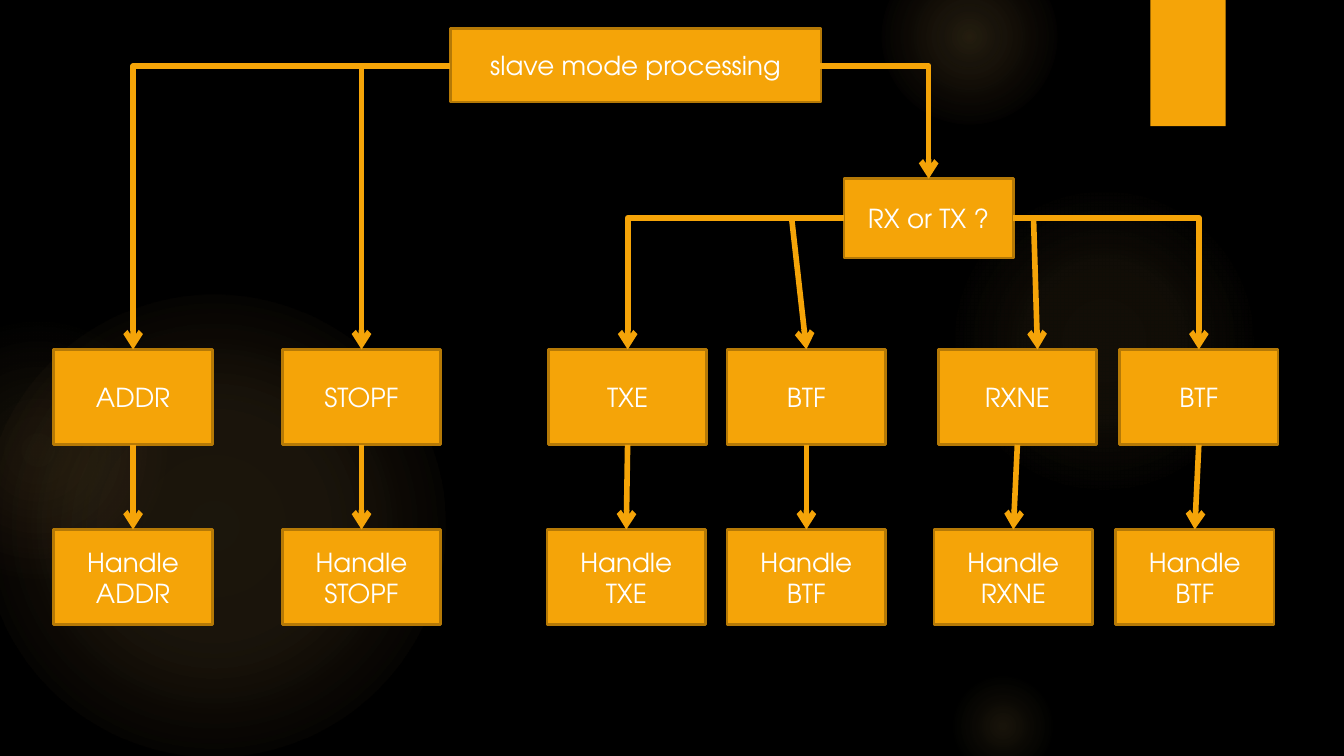
import pptx
import pptx.dml.color
import pptx.enum.shapes
import pptx.enum.text
import pptx.oxml
import pptx.oxml.ns
import pptx.util
from pptx.util import Inches

RGBColor = pptx.dml.color.RGBColor
SHAPES = pptx.enum.shapes.MSO_SHAPE
CONNECTORS = pptx.enum.shapes.MSO_CONNECTOR
qn = pptx.oxml.ns.qn

BLACK = RGBColor(0x00, 0x00, 0x00)
WHITE = RGBColor(0xFF, 0xFF, 0xFF)
ORANGE = RGBColor(0xF5, 0xA4, 0x08)
DARK_ORANGE = RGBColor(0xB5, 0x79, 0x06)
GLOW = RGBColor(0xFA, 0xC9, 0x6A)
PEACH = RGBColor(0xF5, 0x9B, 0x74)
FONT = "TeX Gyre Adventor"

presentation = pptx.Presentation()
presentation.slide_width = Inches(10)
presentation.slide_height = Inches(10 * 9 / 16)
slide = presentation.slides.add_slide(presentation.slide_layouts[6])
slide.background.fill.solid()
slide.background.fill.fore_color.rgb = BLACK


def add_box(left, top, width, height, text):
    box = slide.shapes.add_shape(
        SHAPES.RECTANGLE, Inches(left), Inches(top), Inches(width), Inches(height))
    box.shadow.inherit = False
    box.fill.solid()
    box.fill.fore_color.rgb = ORANGE
    box.line.color.rgb = DARK_ORANGE
    box.line.width = pptx.util.Pt(1.5)
    frame = box.text_frame
    frame.word_wrap = True
    frame.vertical_anchor = pptx.enum.text.MSO_ANCHOR.MIDDLE
    paragraph = frame.paragraphs[0]
    paragraph.alignment = pptx.enum.text.PP_ALIGN.CENTER
    run = paragraph.add_run()
    run.text = text
    run.font.name = FONT
    run.font.size = pptx.util.Pt(14)
    run.font.color.rgb = WHITE


def add_arrow(start_x, start_y, end_x, end_y, bent=False):
    """Draw an arrow; a bent one runs sideways first, then down."""
    kind = CONNECTORS.ELBOW if bent else CONNECTORS.STRAIGHT
    connector = slide.shapes.add_connector(
        kind, Inches(start_x), Inches(start_y), Inches(end_x), Inches(end_y))
    connector.line.color.rgb = ORANGE
    connector.line.width = pptx.util.Pt(3)
    properties = connector._element.spPr
    if bent:
        properties.find(qn("a:prstGeom")).set("prst", "bentConnector2")
        if end_x < start_x:
            # A half turn with a vertical flip mirrors the bend to the left
            transform = properties.find(qn("a:xfrm"))
            transform.attrib.pop("flipH")
            transform.set("rot", "10800000")
            transform.set("flipV", "1")
    line = properties.find(qn("a:ln"))
    line.append(pptx.oxml.parse_xml(
        f'<a:tailEnd {pptx.oxml.ns.nsdecls("a")} type="arrow"/>'))
    properties.append(pptx.oxml.parse_xml(
        f'<a:effectLst {pptx.oxml.ns.nsdecls("a")}/>'))


# Soft background glows: left, top, diameter, (position, colour, opacity) in percent
glows = [
    (-0.13, 2.19, 3.44, [(0, GLOW, 11), (36, GLOW, 10), (75, GLOW, 0)]),
    (-0.69, 2.38, 1.94, [(0, GLOW, 8), (36, GLOW, 5), (71, PEACH, 0)]),
    (7.06, 1.38, 2.31, [(0, GLOW, 7), (36, GLOW, 6), (69, GLOW, 0)]),
    (6.56, -0.38, 1.31, [(0, GLOW, 14), (36, GLOW, 7), (73, GLOW, 0)]),
    (7.06, 5, 0.81, [(0, GLOW, 10), (31, GLOW, 5), (66, GLOW, 0)]),
]
for left, top, diameter, stops in glows:
    glow = slide.shapes.add_shape(
        SHAPES.OVAL, Inches(left), Inches(top), Inches(diameter), Inches(diameter))
    glow.shadow.inherit = False
    glow.line.fill.background()
    stop_list = "".join(
        f'<a:gs pos="{position * 1000}"><a:srgbClr val="{color}">'
        f'<a:alpha val="{opacity * 1000}"/></a:srgbClr></a:gs>'
        for position, color, opacity in stops)
    gradient = pptx.oxml.parse_xml(
        f'<a:gradFill {pptx.oxml.ns.nsdecls("a")} rotWithShape="1">'
        f'<a:gsLst>{stop_list}</a:gsLst><a:path path="circle">'
        '<a:fillToRect l="50000" t="50000" r="50000" b="50000"/></a:path></a:gradFill>')
    glow._element.spPr.find(qn("a:prstGeom")).addnext(gradient)

corner_tab = slide.shapes.add_shape(
    SHAPES.RECTANGLE, Inches(8.56), Inches(0), Inches(0.56), Inches(0.94))
corner_tab.shadow.inherit = False
corner_tab.fill.solid()
corner_tab.fill.fore_color.rgb = ORANGE
corner_tab.line.fill.background()

# Flowchart boxes
BOX_WIDTH, BOX_HEIGHT = 1.18, 0.71
EVENT_TOP, HANDLER_TOP = 2.6, 3.94
ROOT_Y, DECISION_Y = 0.49, 1.62

add_box(3.35, 0.21, 2.76, 0.55, "slave mode processing")
add_box(6.28, 1.33, 1.26, 0.59, "RX or TX ?")

# Event name, centre of the event box, centre of its handler box
events = [
    ("ADDR", 0.99, 0.99),
    ("STOPF", 2.69, 2.69),
    ("TXE", 4.67, 4.66),
    ("BTF", 6, 6),
    ("RXNE", 7.57, 7.54),
    ("BTF", 8.92, 8.89),
]
for name, event_x, handler_x in events:
    add_box(event_x - BOX_WIDTH / 2, EVENT_TOP, BOX_WIDTH, BOX_HEIGHT, name)
    add_box(handler_x - BOX_WIDTH / 2, HANDLER_TOP, BOX_WIDTH, BOX_HEIGHT,
            f"Handle {name}")
    add_arrow(event_x, EVENT_TOP + BOX_HEIGHT, handler_x, HANDLER_TOP)

# Branches from the root and from the decision
add_arrow(3.35, ROOT_Y, 0.99, EVENT_TOP, bent=True)
add_arrow(2.69, ROOT_Y, 2.69, EVENT_TOP)
add_arrow(6.1, ROOT_Y, 6.91, 1.33, bent=True)
add_arrow(6.28, DECISION_Y, 4.67, EVENT_TOP, bent=True)
add_arrow(5.89, DECISION_Y, 6, EVENT_TOP)
add_arrow(7.69, DECISION_Y, 7.72, EVENT_TOP)
add_arrow(7.54, DECISION_Y, 8.92, EVENT_TOP, bent=True)

presentation.save("out.pptx")
